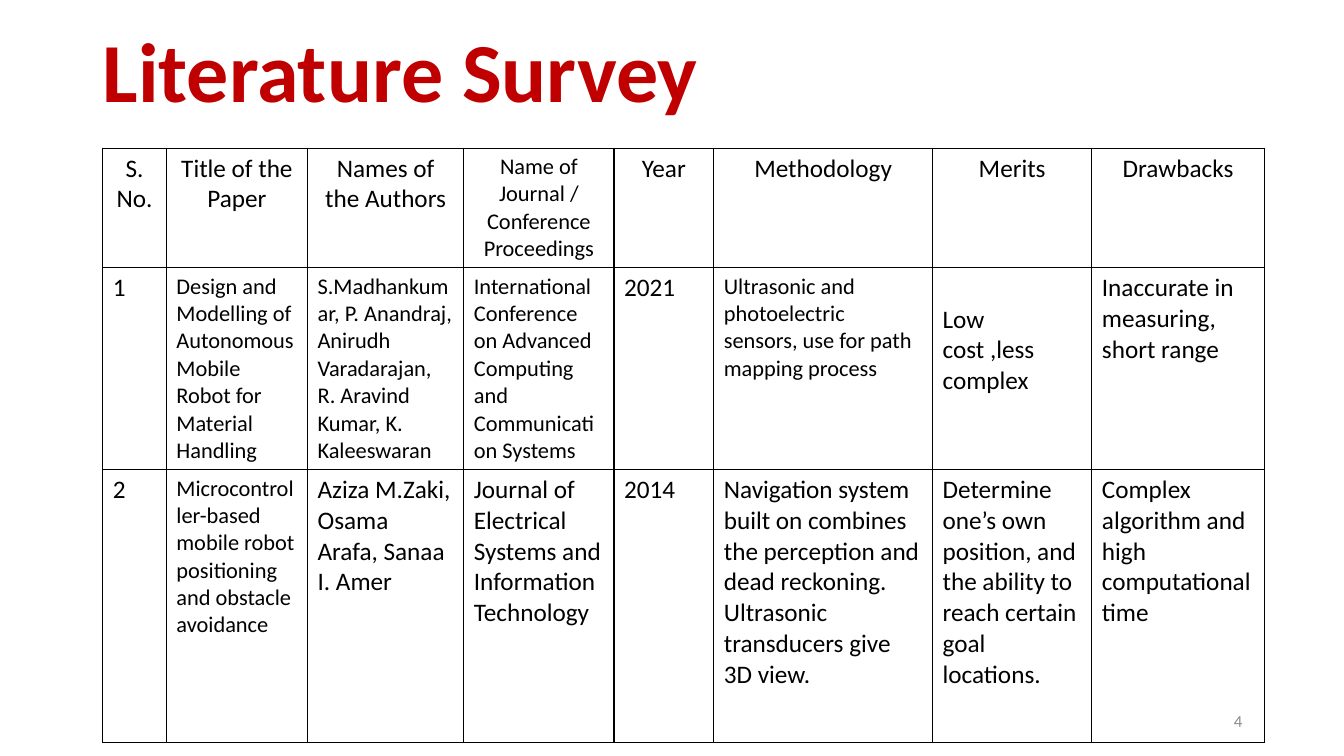
"""Build the literature survey slide with its table of papers."""
import pptx
import pptx.dml.color
import pptx.enum.text
import pptx.oxml
import pptx.oxml.ns
import pptx.util

Inches = pptx.util.Inches
Align = pptx.enum.text.PP_ALIGN
Anchor = pptx.enum.text.MSO_ANCHOR


def style(para, size, color, align=Align.LEFT, bold=False):
    """Set the font and alignment of one paragraph."""
    para.alignment = align
    para.font.name = "Calibri"
    para.font.size = pptx.util.Pt(size)
    para.font.bold = bold
    para.font.color.rgb = pptx.dml.color.RGBColor.from_string(color)


def border(cell):
    """Draw a thin black line on each side of a cell."""
    for side in ("lnL", "lnR", "lnT", "lnB"):
        cell._tc.get_or_add_tcPr().append(pptx.oxml.parse_xml(
            f'<a:{side} {pptx.oxml.ns.nsdecls("a")} w="12700"><a:solidFill>'
            f'<a:srgbClr val="000000"/></a:solidFill></a:{side}>'))


deck = pptx.Presentation()
deck.slide_width = Inches(13.33)
deck.slide_height = Inches(7.5)
slide = deck.slides.add_slide(deck.slide_layouts[5])

title = slide.shapes.title
title.left, title.top = Inches(0.92), Inches(0.02)
title.width, title.height = Inches(11.5), Inches(1.45)
frame = title.text_frame
frame.text = "Literature Survey"
frame.auto_size = pptx.enum.text.MSO_AUTO_SIZE.NONE
frame.vertical_anchor = Anchor.MIDDLE
frame.paragraphs[0].line_spacing = 0.9
style(frame.paragraphs[0], 60, "C00000", bold=True)

cols = [0.63, 1.4, 1.55, 1.49, 0.99, 2.17, 1.58, 1.71]
rows = [0.99, 1.53, 2.71]
texts = [
    ["S. No.", "Title of the Paper", "Names of the Authors",
     "Name of Journal / Conference Proceedings", "Year", "Methodology",
     "Merits", "Drawbacks"],
    ["1",
     "Design and Modelling of Autonomous Mobile Robot for Material Handling",
     "S.Madhankumar, P. Anandraj, Anirudh Varadarajan, R. Aravind Kumar, "
     "K. Kaleeswaran",
     "International Conference on Advanced Computing and Communication "
     "Systems",
     "2021",
     "Ultrasonic and photoelectric sensors, use for path mapping process",
     "Low cost ,less complex",
     "Inaccurate in measuring, short range"],
    ["2",
     "Microcontroller-based mobile robot positioning and obstacle avoidance",
     "Aziza M.Zaki, Osama Arafa, Sanaa I. Amer",
     "Journal of Electrical Systems and Information Technology",
     "2014",
     "Navigation system built on combines the perception and dead reckoning."
     "\nUltrasonic transducers give 3D view.",
     "Determine one’s own position, and the ability to reach certain goal "
     "locations.",
     "Complex algorithm and high computational time"],
]
small = {(0, 3), (1, 1), (1, 2), (1, 3), (1, 5), (2, 1)}

table = slide.shapes.add_table(
    len(rows), len(cols), Inches(1.02), Inches(1.47),
    Inches(sum(cols)), Inches(sum(rows))).table
table.first_row = False
table.horz_banding = False
for col, width in zip(table.columns, cols):
    col.width = Inches(width)
for row, height in zip(table.rows, rows):
    row.height = Inches(height)

for r, line in enumerate(texts):
    for c, text in enumerate(line):
        cell = table.cell(r, c)
        border(cell)
        cell.fill.background()
        cell.text = text
        for para in cell.text_frame.paragraphs:
            style(para, 16 if (r, c) in small else 18, "000000",
                  Align.LEFT if r else Align.CENTER)
table.cell(1, 6).margin_top = Inches(0.36)

page = slide.shapes.add_textbox(
    Inches(9.42), Inches(6.95), Inches(3), Inches(0.4)).text_frame
page.word_wrap = True
page.vertical_anchor = Anchor.MIDDLE
page.text = "4"
style(page.paragraphs[0], 12, "8C8C8C", Align.RIGHT)

deck.save("out.pptx")
